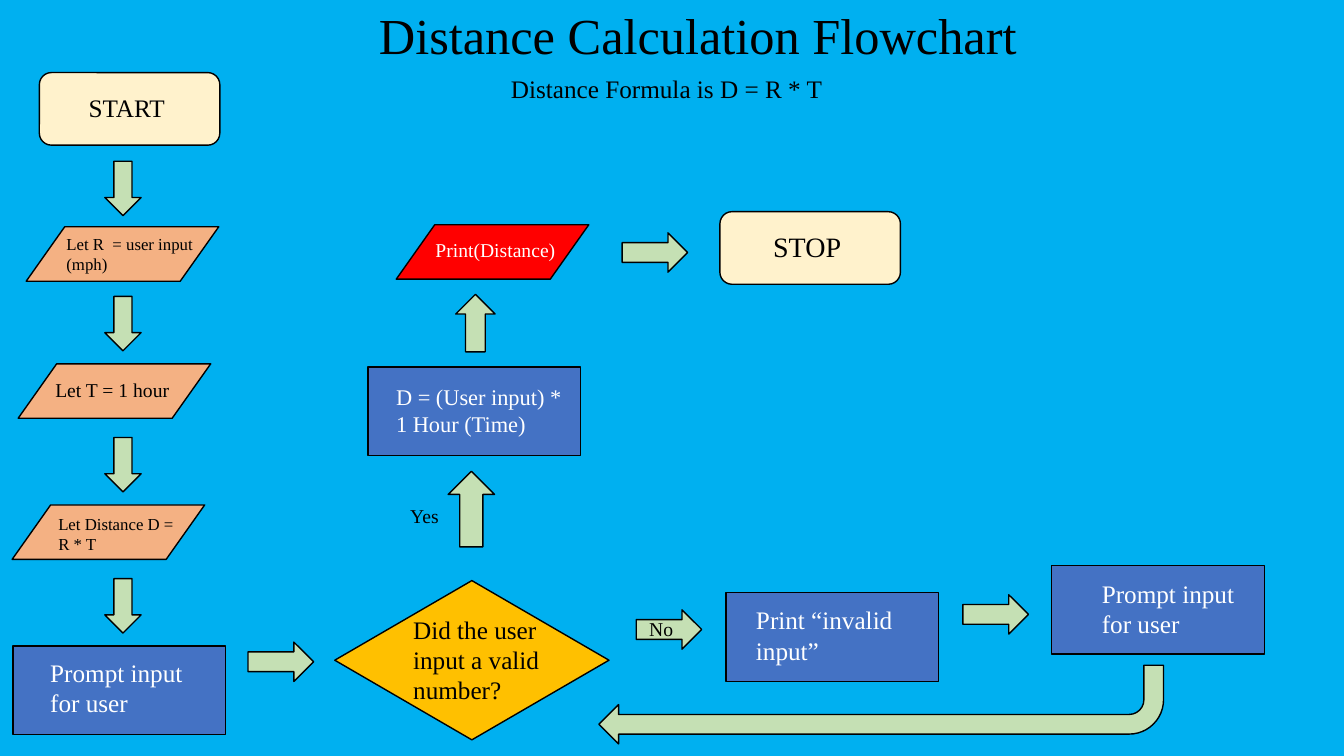
import pptx
import pptx.dml.color
import pptx.enum.shapes
import pptx.enum.text
import pptx.util

Inches = pptx.util.Inches
RGBColor = pptx.dml.color.RGBColor
Kind = pptx.enum.shapes.MSO_SHAPE

SKY = RGBColor(0x00, 0xB0, 0xF0)
NAVY = RGBColor(0x32, 0x54, 0x91)
BLACK = RGBColor(0x00, 0x00, 0x00)
WHITE = RGBColor(0xFF, 0xFF, 0xFF)
CREAM = RGBColor(0xFF, 0xF2, 0xCC)
ORANGE = RGBColor(0xF4, 0xB1, 0x83)
RED = RGBColor(0xFF, 0x00, 0x00)
BLUE = RGBColor(0x44, 0x72, 0xC4)
GOLD = RGBColor(0xFF, 0xC0, 0x00)
GREEN = RGBColor(0xC5, 0xE0, 0xB4)

FONT = "Times New Roman"
TERMINAL_SIZE = (1.79, 0.72)
DATA_SIZE = (1.91, 0.54)
PROCESS_SIZE = (2.11, 0.88)
DECISION_SIZE = (2.72, 1.58)
DOWN_SIZE = (0.36, 0.54)
RIGHT_SIZE = (0.65, 0.39)


def add_block(page, kind, place, size, fill, line=BLACK, rotation=0):
    """Draw one filled and outlined preset shape."""
    block = page.shapes.add_shape(kind, *map(Inches, place + size))
    block.shadow.inherit = False
    block.fill.solid()
    block.fill.fore_color.rgb = fill
    block.line.color.rgb = line
    block.line.width = pptx.util.Pt(1)
    block.rotation = rotation
    return block


def add_text(page, text, place, size, points=18, color=BLACK):
    """Write one wrapped, left-aligned text box."""
    box = page.shapes.add_textbox(*map(Inches, place + size))
    frame = box.text_frame
    frame.word_wrap = True
    frame.auto_size = pptx.enum.text.MSO_AUTO_SIZE.SHAPE_TO_FIT_TEXT
    span = frame.paragraphs[0].add_run()
    span.text = text
    span.font.name = FONT
    span.font.size = pptx.util.Pt(points)
    span.font.color.rgb = color
    return box


def add_terminal(page, place):
    """Draw a start or stop block."""
    add_block(page, Kind.FLOWCHART_ALTERNATE_PROCESS, place, TERMINAL_SIZE, CREAM)


def add_data(page, place, fill=ORANGE):
    """Draw an input or output block."""
    add_block(page, Kind.FLOWCHART_DATA, place, DATA_SIZE, fill)


def add_process(page, place):
    """Draw a process block."""
    add_block(page, Kind.RECTANGLE, place, PROCESS_SIZE, BLUE)


def add_arrow(page, place, size=RIGHT_SIZE, kind=Kind.RIGHT_ARROW, rotation=0):
    """Draw a block arrow, pointing right unless told otherwise."""
    add_block(page, kind, place, size, GREEN, rotation=rotation)


def add_input_column(page):
    """Build the left column from START to the first prompt."""
    add_terminal(page, (0.39, 0.72))
    add_text(page, "START", (0.78, 0.87), (1.53, 0.71))
    for place in ((0.26, 2.25), (0.18, 3.61), (0.12, 5.01)):
        add_data(page, place)
    add_text(page, "Let R  = user input (mph)", (0.56, 2.27), (1.61, 0.5), points=12)
    add_text(page, "Let T = 1 hour", (0.45, 3.7), (1.8, 0.34), points=14)
    add_text(page, "Let Distance D = R * T", (0.48, 5.05), (1.47, 0.5), points=12)
    for top in (1.6, 2.94, 4.34, 5.74):
        add_arrow(page, (1.04, top), DOWN_SIZE, Kind.DOWN_ARROW)
    add_process(page, (0.13, 6.41))
    add_text(page, "Prompt input for user", (0.4, 6.47), (1.83, 0.71), color=WHITE)


def add_decision(page):
    """Build the validity question and the arrow into it."""
    add_arrow(page, (2.46, 6.37))
    add_block(page, Kind.FLOWCHART_DECISION, (3.32, 5.76), DECISION_SIZE, GOLD)
    add_text(page, "Did the user input a valid number?", (4, 6.04), (1.54, 1.01))


def add_yes_branch(page):
    """Build the branch that computes and prints the distance."""
    add_arrow(page, (4.3, 4.82), (0.75, 0.46), rotation=270)
    add_text(page, "Yes", (3.97, 4.95), (0.83, 0.34), points=14)
    add_process(page, (3.65, 3.64))
    add_text(page, "D = (User input) * 1 Hour (Time)", (3.83, 3.75), (1.91, 0.64),
             points=16, color=WHITE)
    add_arrow(page, (4.43, 3.01), (0.57, 0.39), rotation=270)
    add_data(page, (3.93, 2.23), fill=RED)
    add_text(page, "Print(Distance)", (4.22, 2.31), (1.49, 0.34), points=14, color=WHITE)
    add_arrow(page, (6.17, 2.31))
    add_terminal(page, (7.14, 2.1))
    add_text(page, "STOP", (7.57, 2.23), (1.53, 0.44), points=20)


def add_no_branch(page):
    """Build the branch that asks again and loops back."""
    add_arrow(page, (6.31, 6.05))
    add_text(page, "No", (6.34, 6.07), (0.83, 0.34), points=14)
    add_process(page, (7.2, 5.88))
    add_text(page, "Print “invalid input”", (7.4, 5.95), (1.67, 0.71), color=WHITE)
    add_arrow(page, (9.55, 5.9))
    add_process(page, (10.43, 5.61))
    add_text(page, "Prompt input for user", (10.83, 5.69), (1.77, 1.01), color=WHITE)
    add_arrow(page, (5.94, 6.6), (5.6, 0.78), Kind.BENT_ARROW, rotation=180)


def main():
    """Build the flowchart slide and save it."""
    deck = pptx.Presentation()
    deck.slide_width = Inches(13.33)
    deck.slide_height = Inches(7.5)
    page = deck.slides.add_slide(deck.slide_layouts[6])
    add_block(page, Kind.FLOWCHART_PROCESS, (-0.14, -0.22), (13.62, 7.77), SKY, line=NAVY)
    add_text(page, "Distance Calculation Flowchart", (3.66, -0.01), (6.68, 1.38), points=36)
    add_text(page, "Distance Formula is D = R * T", (4.97, 0.68), (4.23, 0.4))
    add_input_column(page)
    add_decision(page)
    add_yes_branch(page)
    add_no_branch(page)
    deck.save("out.pptx")


main()
